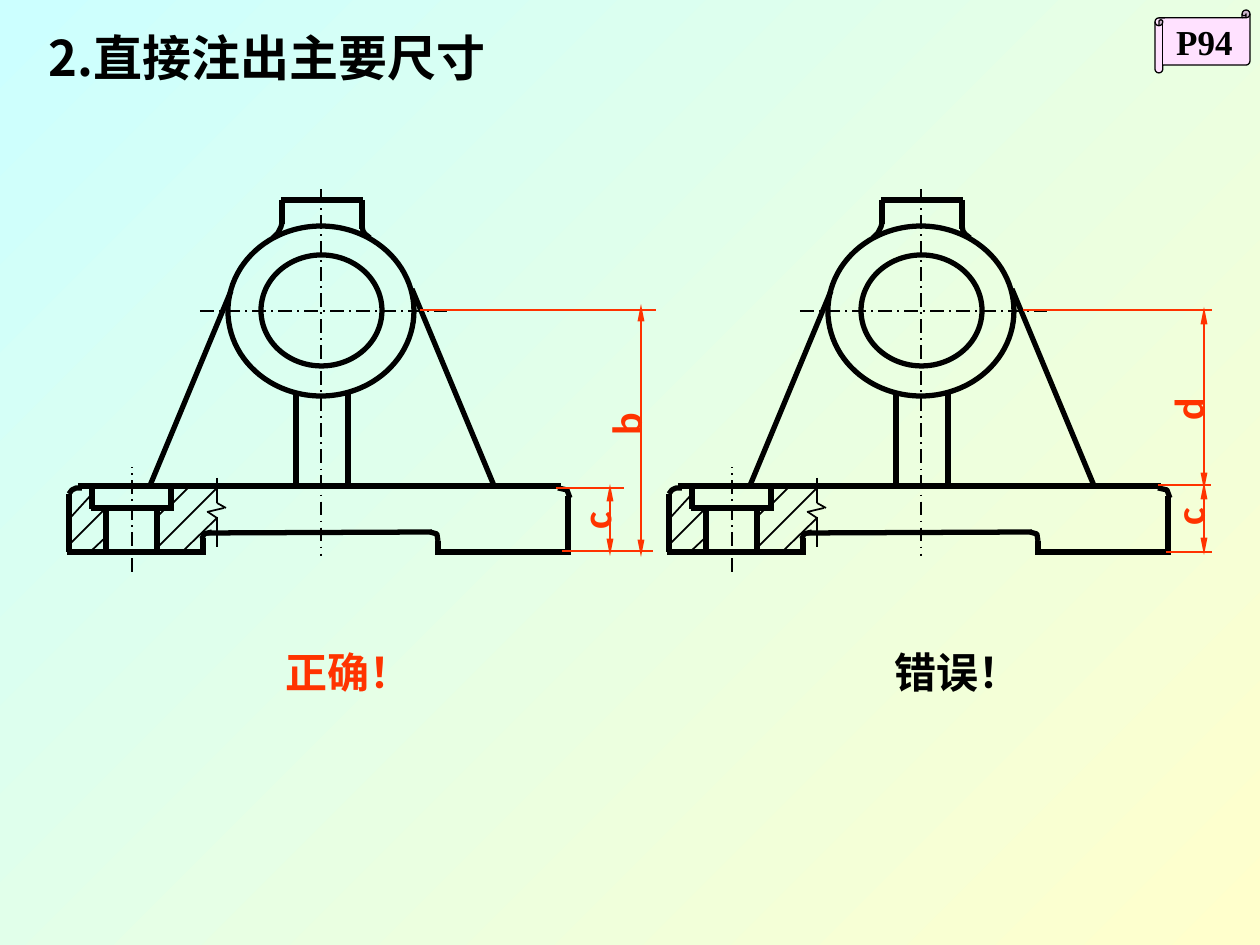
from lxml.etree import SubElement
from pptx import Presentation
from pptx.dml.color import RGBColor
from pptx.enum.dml import MSO_LINE
from pptx.enum.shapes import MSO_CONNECTOR, MSO_SHAPE
from pptx.enum.text import MSO_ANCHOR, MSO_AUTO_SIZE, PP_ALIGN
from pptx.oxml.ns import qn
from pptx.util import Pt

BLACK = RGBColor(0x00, 0x00, 0x00)
RED = RGBColor(0xFF, 0x33, 0x00)
PINK = RGBColor(0xFF, 0xE1, 0xFF)
CYAN = RGBColor(0xCC, 0xFF, 0xFF)
YELLOW = RGBColor(0xFF, 0xFF, 0xCC)
CJK = "Noto Sans CJK SC"

TITLE = ("2.直接注出主要尺寸", -40, 21, 614, 72)
PAGE_REF = ("P94", 1155, 10, 95, 63)
VERDICTS = [("正确！", 273, 640, 151, 63, RED), ("错误！", 882, 640, 151, 63, BLACK)]

VIEW_OFFSETS = [600, 0]
CENTRE_LINES = [(200, 311, 447, 311), (321, 189, 321, 556), (132, 572, 132, 467)]
RINGS = [(228, 226, 186, 170), (261, 255, 121, 111)]
OUTLINES = [
    (78, 486, 561, 486), (568, 496, 568, 553), (69, 494, 69, 552),
    (67, 552, 205, 552), (437, 552, 571, 552), (438, 555, 438, 541),
    (203, 555, 203, 538), (208, 533, 432, 532),
    (171, 488, 171, 507), (92, 488, 92, 509), (91, 508, 174, 508),
    (157, 507, 157, 552), (106, 507, 106, 552),
    (149, 488, 231, 291), (495, 488, 412, 289),
    (348, 393, 348, 488), (296, 393, 296, 488),
    (281, 200, 363, 200), (362, 200, 362, 229), (282, 200, 282, 224),
]
FILLETS = [
    [(558, 488), (567, 490), (570, 498)],
    [(430, 532), (437, 534), (438, 541)],
    [(212, 532), (204, 534), (202, 539)],
    [(82, 488), (76, 488), (72, 490), (69, 494)],
    [(362, 226), (363, 231), (365, 234), (370, 238)],
    [(282, 223), (281, 227), (278, 233), (273, 238)],
]
BREAK_LINES = [
    (217, 478, 217, 503), (217, 503, 226, 508), (217, 517, 217, 547),
    (208, 512, 217, 518), (207, 512, 224, 508),
]
HATCHING = [
    (71, 517, 92, 494), (67, 547, 106, 508), (89, 553, 107, 536),
    (155, 519, 166, 508), (173, 503, 188, 488), (158, 547, 217, 488),
    (181, 553, 217, 518),
]

DIMENSIONS = [
    {
        "extensions": [(562, 551, 653, 551), (556, 488, 624, 488), (420, 310, 656, 310)],
        "arrows": [(641, 304, 641, 557), (610, 484, 610, 556)],
        "letters": [("c", 571, 489, 47, 63), ("b", 599, 393, 52, 63)],
    },
    {
        "extensions": [(1158, 485, 1211, 485), (1166, 552, 1212, 552), (1023, 310, 1212, 310)],
        "arrows": [(1204, 555, 1204, 482), (1204, 490, 1204, 307)],
        "letters": [("c", 1166, 485, 44, 63), ("d", 1163, 378, 49, 63)],
    },
]


def px(*lengths):
    return [round(length * 914400 / 126) for length in lengths]


def draw_line(group, ends, width, color=BLACK, dash=None, arrows=False):
    connector = group.shapes.add_connector(MSO_CONNECTOR.STRAIGHT, *px(*ends))
    connector.line.color.rgb = color
    connector.line.width = Pt(width)
    if dash:
        connector.line.dash_style = dash
    properties = connector.element.spPr
    if arrows:
        for end in ("a:headEnd", "a:tailEnd"):
            SubElement(properties.find(qn("a:ln")), qn(end), type="triangle", w="sm", len="lg")
    SubElement(properties, qn("a:effectLst"))


def ink(shape, width):
    shape.fill.background()
    shape.line.color.rgb = BLACK
    shape.line.width = Pt(width)
    shape.shadow.inherit = False


def write(shape, text, size, font, color):
    frame = shape.text_frame
    frame.text = text
    frame.word_wrap = False
    frame.vertical_anchor = MSO_ANCHOR.MIDDLE
    paragraph = frame.paragraphs[0]
    paragraph.alignment = PP_ALIGN.CENTER
    run = paragraph.runs[0]
    run.font.size = Pt(size)
    run.font.bold = True
    run.font.name = font
    run.font.color.rgb = color
    SubElement(run._r.get_or_add_rPr(), qn("a:ea"), typeface=CJK)
    return paragraph


def add_label(parent, text, box, size, font, color, rotation=0):
    label = parent.shapes.add_textbox(*px(*box))
    label.rotation = rotation
    paragraph = write(label, text, size, font, color)
    label.text_frame.auto_size = MSO_AUTO_SIZE.SHAPE_TO_FIT_TEXT
    return paragraph


def draw_view(slide, dx):
    group = slide.shapes.add_group_shape()
    strokes = [
        (CENTRE_LINES, 1, MSO_LINE.LONG_DASH_DOT),
        (OUTLINES, 3, None),
        (BREAK_LINES + HATCHING, 1, None),
    ]
    for lines, width, dash in strokes:
        for x1, y1, x2, y2 in lines:
            draw_line(group, (x1 + dx, y1, x2 + dx, y2), width, dash=dash)
    for x, y, w, h in RINGS:
        ink(group.shapes.add_shape(MSO_SHAPE.OVAL, *px(x + dx, y, w, h)), 3)
    for points in FILLETS:
        start, *rest = [px(x + dx, y) for x, y in points]
        builder = group.shapes.build_freeform(*start)
        builder.add_line_segments(rest, close=False)
        ink(builder.convert_to_shape(), 3)


def draw_dimensions(slide, dimension):
    group = slide.shapes.add_group_shape()
    for ends in dimension["extensions"]:
        draw_line(group, ends, 1, RED)
    for ends in dimension["arrows"]:
        draw_line(group, ends, 1, RED, arrows=True)
    for letter, *box in dimension["letters"]:
        add_label(group, letter, box, 24, "Calibri", RED, 270)


def main():
    deck = Presentation()
    deck.slide_width, deck.slide_height = px(1260, 945)
    slide = deck.slides.add_slide(deck.slide_layouts[6])

    background = slide.background.fill
    background.gradient()
    background.gradient_angle = 315
    for stop, color, position in zip(background.gradient_stops, (CYAN, YELLOW), (0, 1)):
        stop.color.rgb = color
        stop.position = position

    page, *page_box = PAGE_REF
    scroll = slide.shapes.add_shape(MSO_SHAPE.HORIZONTAL_SCROLL, *px(*page_box))
    ink(scroll, 0.75)
    scroll.fill.solid()
    scroll.fill.fore_color.rgb = PINK
    write(scroll, page, 20, "Times New Roman", BLACK)

    heading, *heading_box = TITLE
    paragraph = add_label(slide, heading, heading_box, 28, CJK, BLACK)
    indent, = px(63)
    properties = paragraph._p.get_or_add_pPr()
    properties.set("marL", str(indent))
    properties.set("indent", str(-indent))

    for dx in VIEW_OFFSETS:
        draw_view(slide, dx)
    for dimension in DIMENSIONS:
        draw_dimensions(slide, dimension)
    for verdict, *box, color in VERDICTS:
        add_label(slide, verdict, box, 24, "Calibri", color)

    deck.save("out.pptx")


if __name__ == "__main__":
    main()
